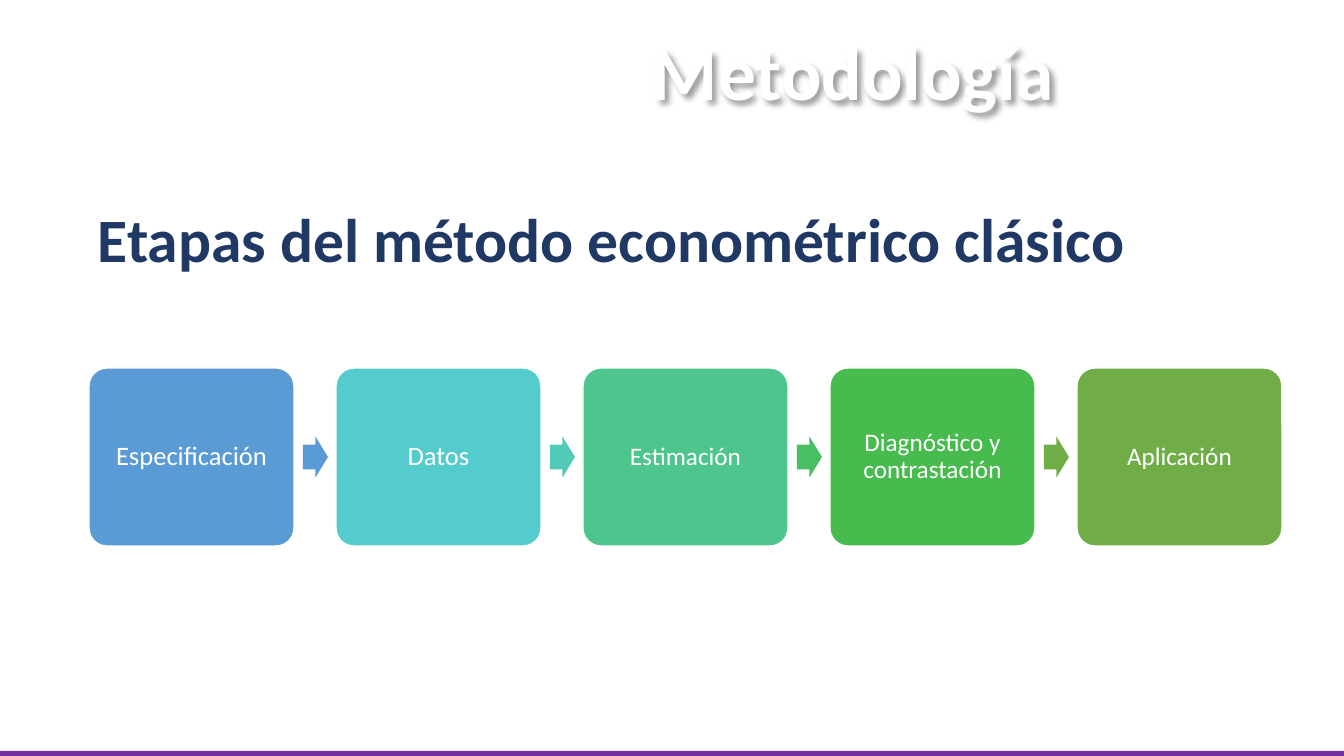
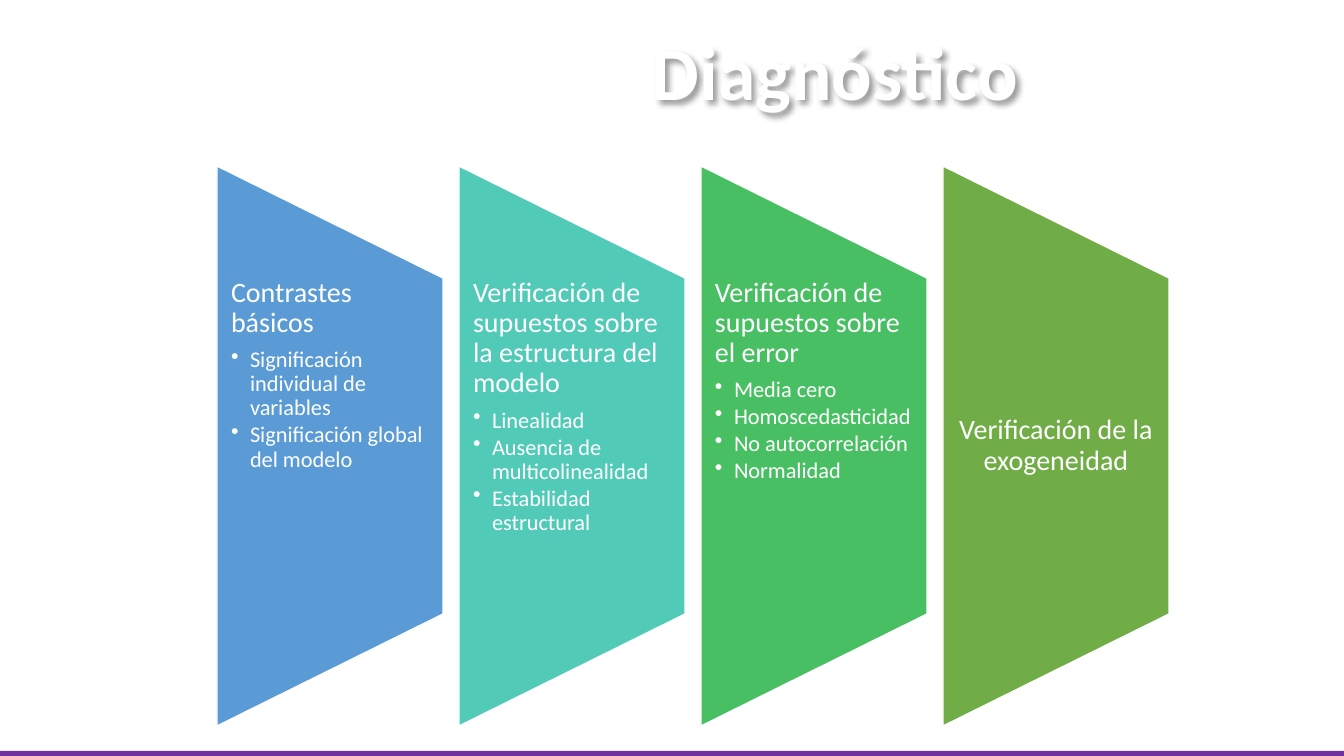
from lxml import etree
from pptx import Presentation
from pptx.dml.color import RGBColor
from pptx.enum.shapes import MSO_SHAPE
from pptx.enum.text import MSO_ANCHOR, PP_ALIGN
from pptx.oxml.ns import qn
from pptx.util import Emu, Pt

EMU_PER_INCH = 914400
PX_PER_INCH = 100.8
SLIDE_WIDTH, SLIDE_HEIGHT = 1344, 756
BAND_HEIGHT = 5

FONT = "Calibri"
WHITE = "FFFFFF"
BLACK = "000000"
PURPLE = "7030A0"
NAVY = "203864"
BLUE = "5B9BD5"
TURQUOISE = "52CAB8"
GREEN = "49BF64"
OLIVE = "70AD47"

RECTANGLE = MSO_SHAPE.RECTANGLE
ROUNDED_RECTANGLE = MSO_SHAPE.ROUNDED_RECTANGLE
RIGHT_ARROW = MSO_SHAPE.RIGHT_ARROW
TRAPEZOID = MSO_SHAPE.FLOWCHART_MANUAL_OPERATION
LEFT, CENTER = PP_ALIGN.LEFT, PP_ALIGN.CENTER
TOP, MIDDLE = MSO_ANCHOR.TOP, MSO_ANCHOR.MIDDLE

# Stage name, text size, box colour, colour of the arrow that follows
STAGES = [
    ("Especificación", 19, BLUE, BLUE),
    ("Datos", 19, "54CCCD", TURQUOISE),
    ("Estimación", 18, "4DC58D", GREEN),
    ("Diagnóstico y contrastación", 18, "48BB4F", OLIVE),
    ("Aplicación", 18, OLIVE, None),
]

# Heading, panel colour, bullet points
CHECKS = [
    ("Contrastes básicos", BLUE,
     ["Significación individual de variables",
      "Significación global del modelo"]),
    ("Verificación de supuestos sobre la estructura del modelo", TURQUOISE,
     ["Linealidad", "Ausencia de multicolinealidad",
      "Estabilidad estructural"]),
    ("Verificación de supuestos sobre el error", GREEN,
     ["Media cero", "Homoscedasticidad", "No autocorrelación",
      "Normalidad"]),
    ("Verificación de la exogeneidad", OLIVE, []),
]


def px(length):
    return Emu(round(length * EMU_PER_INCH / PX_PER_INCH))


def color(value):
    return RGBColor.from_string(value)


def set_frame(shape, anchor=TOP, margins=(10, 5)):
    """Wrap the text; margins are (horizontal, vertical)."""
    frame = shape.text_frame
    frame.word_wrap = True
    frame.vertical_anchor = anchor
    frame.margin_left = frame.margin_right = px(margins[0])
    frame.margin_top = frame.margin_bottom = px(margins[1])


def add_text(shape, text, size=18, text_color=WHITE, bold=False, align=LEFT,
             line_spacing=None, space_after=0, bullet=False):
    """Write into the empty first paragraph, or into a new one."""
    frame = shape.text_frame
    paragraph = frame.paragraphs[0]
    if paragraph.runs:
        paragraph = frame.add_paragraph()
    paragraph.alignment = align
    paragraph.line_spacing = line_spacing
    paragraph.space_after = Pt(space_after)
    if bullet:
        add_bullet(paragraph)
    run = paragraph.add_run()
    run.text = text
    run.font.name = FONT
    run.font.size = Pt(size)
    run.font.bold = bold
    run.font.color.rgb = color(text_color)


def add_bullet(paragraph, indent=19):
    properties = paragraph._p.get_or_add_pPr()
    properties.set("marL", str(px(indent)))
    properties.set("indent", str(-px(indent)))
    etree.SubElement(properties, qn("a:buChar")).set("char", "•")


def add_text_box(slide, left, top, width, height, **frame_format):
    shape = slide.shapes.add_textbox(px(left), px(top), px(width), px(height))
    set_frame(shape, **frame_format)
    return shape


def add_block(slide, kind, left, top, width, height, fill, outline=None,
              adjustments=()):
    shape = slide.shapes.add_shape(kind, px(left), px(top), px(width),
                                   px(height))
    shape.shadow.inherit = False
    shape.fill.solid()
    shape.fill.fore_color.rgb = color(fill)
    if outline:
        shape.line.color.rgb = color(outline)
        shape.line.width = Pt(1)
    else:
        shape.line.fill.background()
    for index, value in enumerate(adjustments):
        shape.adjustments[index] = value
    return shape


def add_soft_shadow(shape):
    """Cast a blurred shadow down and to the right."""
    effects = etree.SubElement(shape._element.spPr, qn("a:effectLst"))
    shadow = etree.SubElement(effects, qn("a:outerShdw"), blurRad="50800",
                              dist="38100", dir="2700000", algn="tl")
    shade = etree.SubElement(shadow, qn("a:srgbClr"), val=BLACK)
    etree.SubElement(shade, qn("a:alpha"), val="40000")


def add_titled_slide(presentation, title):
    slide = presentation.slides.add_slide(presentation.slide_layouts[6])
    add_block(slide, RECTANGLE, 0, SLIDE_HEIGHT - BAND_HEIGHT, SLIDE_WIDTH,
              BAND_HEIGHT, PURPLE)
    title_box = add_text_box(slide, 642, 20, 675, 102)
    add_text(title_box, title, size=54, bold=True)
    add_soft_shadow(title_box)
    return slide


def add_stages(slide):
    left, top, width, height, pitch = 89, 368, 205, 178, 247
    arrow_width, arrow_height, arrow_gap = 25, 41, 9
    for index, (name, size, fill, arrow_fill) in enumerate(STAGES):
        stage_left = left + index * pitch
        box = add_block(slide, ROUNDED_RECTANGLE, stage_left, top, width,
                        height, fill, WHITE, [0.1])
        set_frame(box, anchor=MIDDLE, margins=(8, 8))
        add_text(box, name, size=size, align=CENTER, line_spacing=0.9)
        if arrow_fill:
            add_block(slide, RIGHT_ARROW, stage_left + width + arrow_gap,
                      top + (height - arrow_height) / 2, arrow_width,
                      arrow_height, arrow_fill, adjustments=[0.6, 0.5])


def add_checks(slide):
    left, top, width, height, pitch = 217, 166, 226, 560, 242
    shift = (height - width) / 2
    for index, (heading, fill, points) in enumerate(CHECKS):
        panel_left = left + index * pitch
        # The unrotated frame shares its centre with the upright panel
        panel = add_block(slide, TRAPEZOID, panel_left - shift, top + shift,
                          height, width, fill, WHITE)
        panel.rotation = 270
        box = add_text_box(slide, panel_left, top + height / 5, width,
                           height * 3 / 5, anchor=TOP if points else MIDDLE,
                           margins=(14, 0))
        add_text(box, heading, size=20, align=LEFT if points else CENTER,
                 line_spacing=0.9, space_after=7 if points else 0)
        for point in points:
            add_text(box, point, size=16, line_spacing=0.9, space_after=2,
                     bullet=True)


def main():
    presentation = Presentation()
    presentation.slide_width = px(SLIDE_WIDTH)
    presentation.slide_height = px(SLIDE_HEIGHT)

    method = add_titled_slide(presentation, "Metodología")
    subtitle = add_text_box(method, 88, 196, 1179, 85)
    add_text(subtitle, "Etapas del método econométrico clásico", size=44,
             text_color=NAVY, bold=True)
    add_stages(method)

    diagnosis = add_titled_slide(presentation, "Diagnóstico")
    add_checks(diagnosis)

    presentation.save("out.pptx")


if __name__ == "__main__":
    main()
